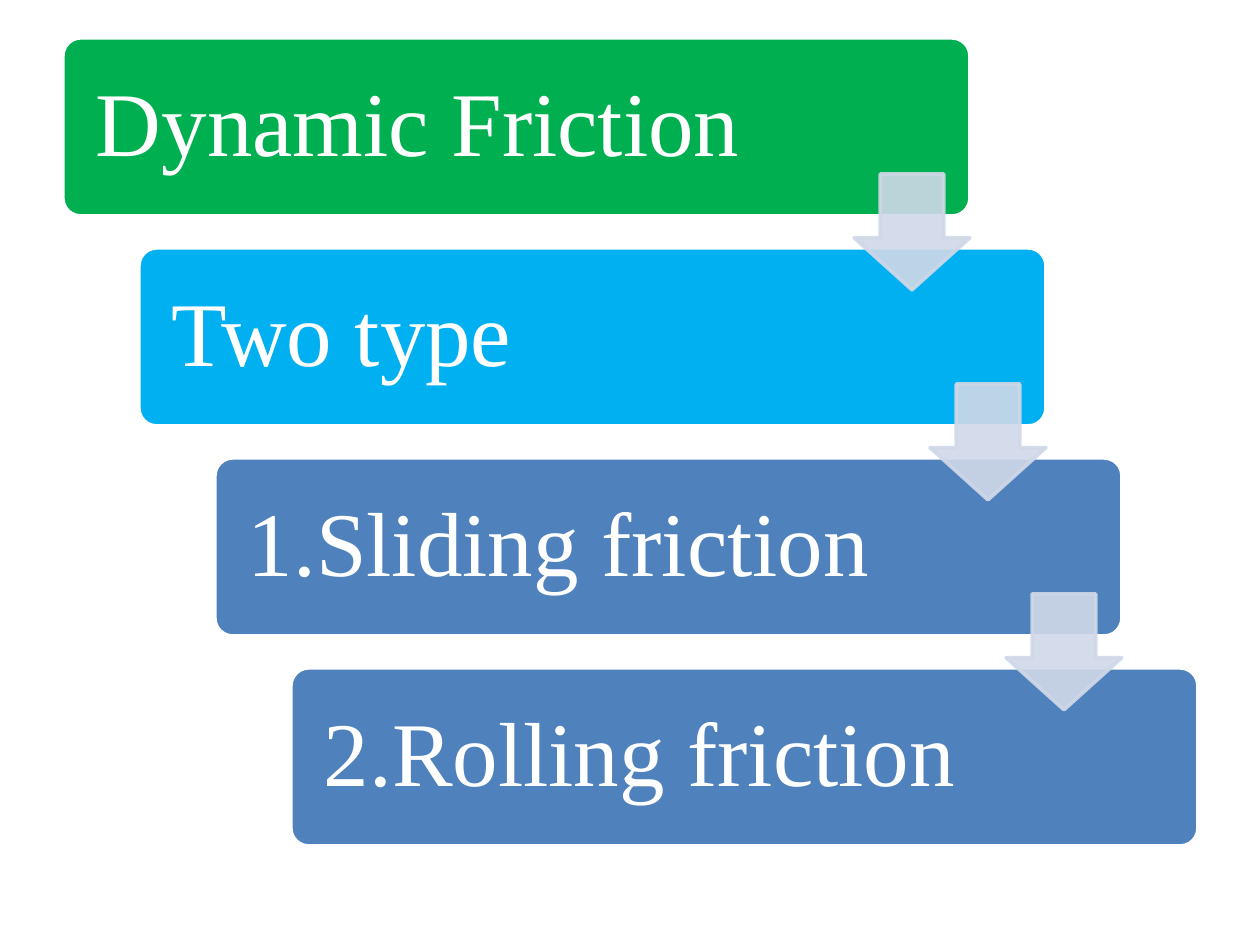
from lxml import etree
from pptx import Presentation
from pptx.dml.color import RGBColor
from pptx.enum.shapes import MSO_SHAPE
from pptx.enum.text import MSO_ANCHOR, PP_ALIGN
from pptx.oxml.ns import qn
from pptx.util import Pt

ROUNDED = MSO_SHAPE.ROUNDED_RECTANGLE
DOWN_ARROW = MSO_SHAPE.DOWN_ARROW
MIDDLE = MSO_ANCHOR.MIDDLE
LEFT = PP_ALIGN.LEFT

# Content: the steps of the staircase, with the colour of each card
STEPS = [
    ("Dynamic Friction", "green"),
    ("Two type", "sky"),
    ("1.Sliding friction", "blue"),
    ("2.Rolling friction", "blue"),
]
COLOURS = {
    "green": "00B050",
    "sky": "00B0F0",
    "blue": "4F81BD",
    "white": "FFFFFF",
    "arrow": "D0D8E8",
}
FONT = "Times New Roman"

# Layout in px, 126 to the inch
SCALE = 914400 / 126
SLIDE_WIDTH, SLIDE_HEIGHT = 1260, 945
CARD_LEFT, CARD_TOP, CARD_WIDTH, CARD_HEIGHT = 63, 38, 907, 178
STEP_X, STEP_Y = 76, 210
TEXT_INSET, TEXT_WIDTH, TEXT_MARGIN = 5, 706, 28
ARROW_X, ARROW_Y, ARROW_SIZE = 791, 136, 116


def px(value):
    return round(value * SCALE)


def colour(name):
    return RGBColor.from_string(COLOURS[name])


def add_block(slide, kind, box, adjustments, fill, line, opacity=100):
    shape = slide.shapes.add_shape(kind, *map(px, box))
    shape.shadow.inherit = False
    for index, value in enumerate(adjustments):
        shape.adjustments[index] = value
    shape.fill.solid()
    shape.fill.fore_color.rgb = colour(fill)
    shape.line.color.rgb = colour(line)
    shape.line.width = Pt(2)
    if opacity < 100:
        for element in shape.element.spPr.iter(qn("a:srgbClr")):
            alpha = etree.SubElement(element, qn("a:alpha"))
            alpha.set("val", str(opacity * 1000))
    return shape


def add_text(slide, text, *, box, size, font_colour, margin):
    shape = slide.shapes.add_textbox(*map(px, box))
    frame = shape.text_frame
    frame.word_wrap = True
    frame.vertical_anchor = MIDDLE
    frame.margin_left = frame.margin_right = px(margin)
    frame.margin_top = frame.margin_bottom = px(margin)
    paragraph = frame.paragraphs[0]
    paragraph.text = text
    paragraph.alignment = LEFT
    paragraph.line_spacing = 0.9
    paragraph.font.name = FONT
    paragraph.font.size = Pt(size)
    paragraph.font.color.rgb = colour(font_colour)
    return shape


def main():
    presentation = Presentation()
    presentation.slide_width = px(SLIDE_WIDTH)
    presentation.slide_height = px(SLIDE_HEIGHT)
    slide = presentation.slides.add_slide(presentation.slide_layouts[6])

    # Cards, each one step right and down from the last
    for index, (text, fill) in enumerate(STEPS):
        left = CARD_LEFT + index * STEP_X
        top = CARD_TOP + index * STEP_Y
        add_block(slide, ROUNDED, (left, top, CARD_WIDTH, CARD_HEIGHT),
                  [0.1], fill, "white")
        text_box = (left + TEXT_INSET, top + TEXT_INSET,
                    TEXT_WIDTH, CARD_HEIGHT - 2 * TEXT_INSET)
        add_text(slide, text, box=text_box, size=52,
                 font_colour="white", margin=TEXT_MARGIN)

    # Arrows over the gaps between cards
    for index in range(len(STEPS) - 1):
        left = CARD_LEFT + ARROW_X + index * STEP_X
        top = CARD_TOP + ARROW_Y + index * STEP_Y
        add_block(slide, DOWN_ARROW, (left, top, ARROW_SIZE, ARROW_SIZE),
                  [0.55, 0.45], "arrow", "arrow", opacity=90)

    presentation.save("out.pptx")


if __name__ == "__main__":
    main()
